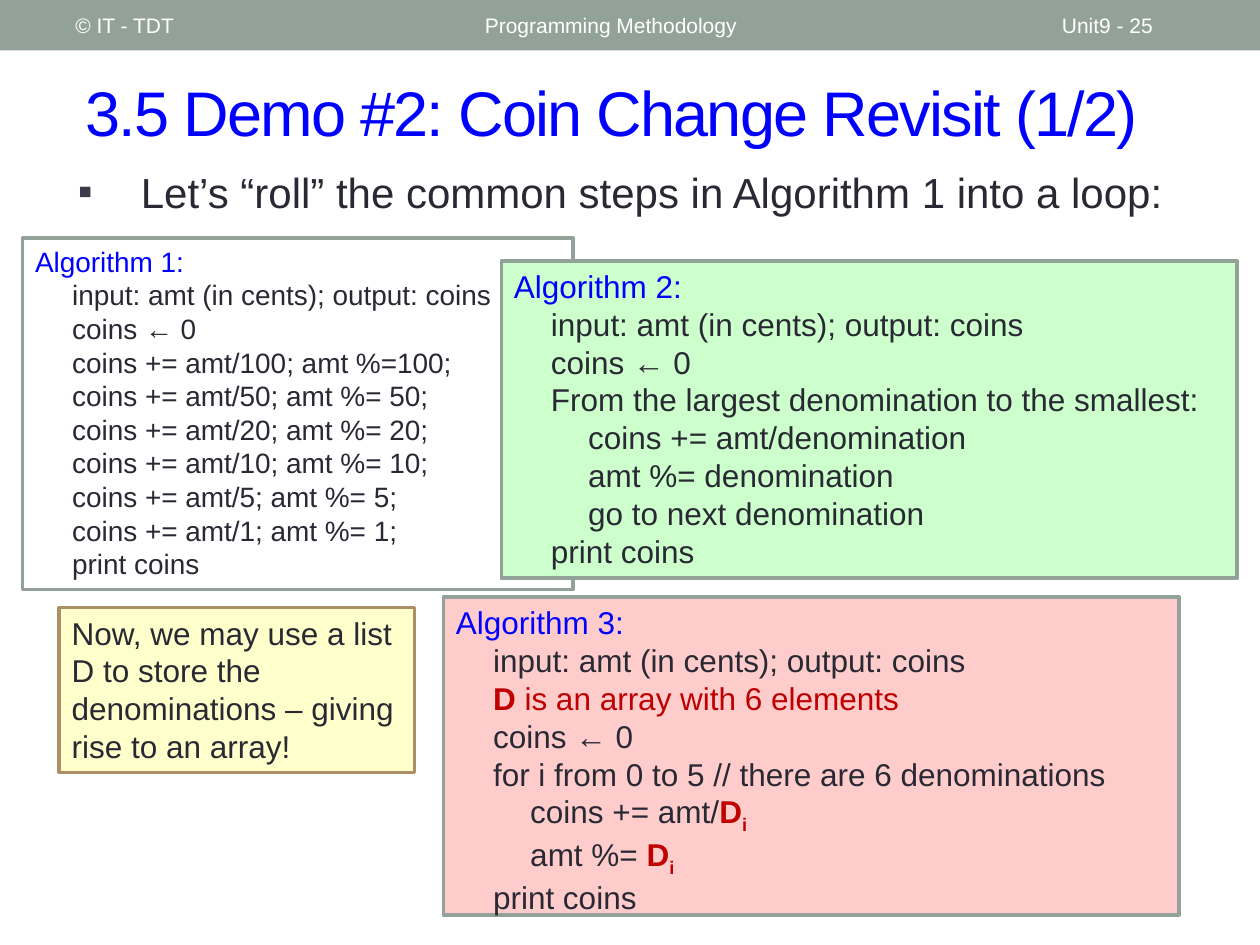
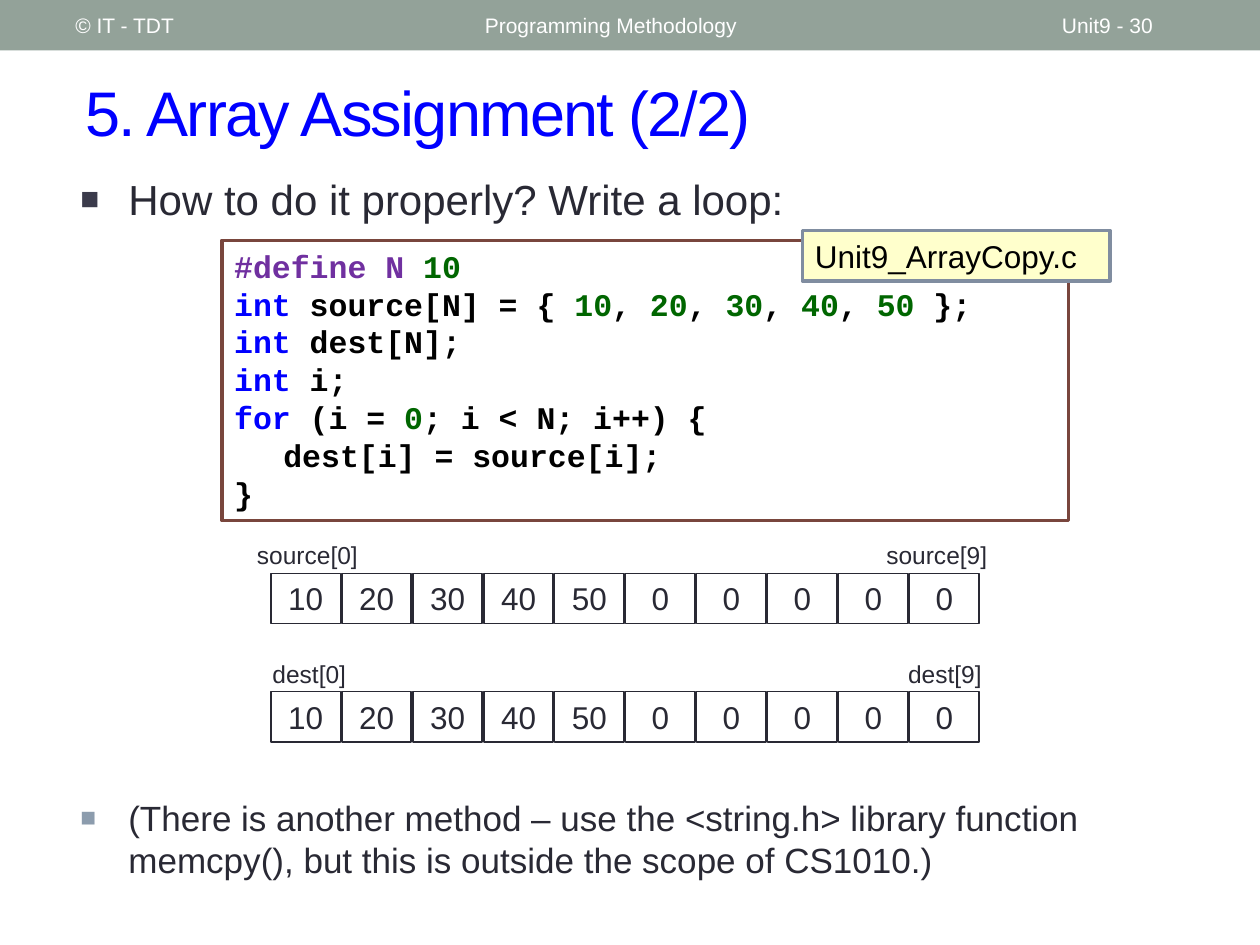
from dataclasses import dataclass

from lxml.etree import SubElement
from pptx import Presentation
from pptx.dml.color import RGBColor
from pptx.enum.shapes import MSO_SHAPE
from pptx.enum.text import MSO_ANCHOR, PP_ALIGN
from pptx.oxml.ns import qn
from pptx.util import Inches, Pt


@dataclass(frozen=True)
class Theme:
    sans: str = "Arial"
    mono: str = "Courier New"
    # Colours
    band: str = "93A299"
    white: str = "FFFFFF"
    text: str = "292934"
    black: str = "000000"
    blue: str = "0000FF"
    red: str = "C00000"
    purple: str = "7030A0"
    green: str = "006600"
    bullet: str = "3B3B4B"
    soft_bullet: str = "8C9CAD"
    mint: str = "CCFFCC"
    pink: str = "FFCCCC"
    cream: str = "FFFFCC"
    tan: str = "AD8F67"
    brown: str = "79463D"
    slate: str = "808DA0"
    # Type sizes and line widths, in points
    title: int = 36
    lead: int = 24
    remark: int = 20
    body: int = 18
    small: int = 16
    label: int = 14
    footer: int = 12
    frame: float = 2.08
    hairline: float = 0.75


THEME = Theme()

# Named span styles: colour, bold, subscript
SPAN_STYLES = {
    "red": (THEME.red, False, False),
    "array": (THEME.red, True, False),
    "index": (THEME.red, True, True),
    "macro": (THEME.purple, True, False),
    "number": (THEME.green, True, False),
    "keyword": (THEME.blue, True, False),
}


def rgb(value):
    return RGBColor.from_string(value)


def write_line(para, spans, size, color, font=THEME.sans, bold=False, indent=0.0):
    """Fill a paragraph; each span is plain text or a (text, style name) pair."""
    para.font.name, para.font.size, para.font.bold = font, Pt(size), bold
    para.font.color.rgb = rgb(color)
    if indent:
        para._p.get_or_add_pPr().set("marL", str(Inches(indent)))
    for part in [spans] if isinstance(spans, str) else spans:
        words, style = (part, None) if isinstance(part, str) else part
        span = para.add_run()
        span.text = words
        if style:
            span_color, span_bold, subscript = SPAN_STYLES[style]
            span.font.color.rgb = rgb(span_color)
            span.font.bold = span_bold
            if subscript:
                span.font._element.set("baseline", "-25000")


def add_text(page, box, words, size, color, anchor=MSO_ANCHOR.TOP,
             align=PP_ALIGN.LEFT, wrap=True):
    frame = page.shapes.add_textbox(*map(Inches, box)).text_frame
    frame.word_wrap, frame.vertical_anchor = wrap, anchor
    para = frame.paragraphs[0]
    para.alignment = align
    write_line(para, words, size, color)
    return para


def add_panel(page, box, fill, line=None, width=THEME.frame):
    panel = page.shapes.add_shape(MSO_SHAPE.RECTANGLE, *map(Inches, box))
    panel.shadow.inherit = False
    panel.fill.solid()
    panel.fill.fore_color.rgb = rgb(fill)
    if line:
        panel.line.color.rgb = rgb(line)
        panel.line.width = Pt(width)
    else:
        panel.line.fill.background()
    panel.text_frame.word_wrap = True
    panel.text_frame.vertical_anchor = MSO_ANCHOR.TOP
    return panel


def fill_panel(panel, lines, size, color=THEME.text, step=0.0,
               align=PP_ALIGN.LEFT, **style):
    """Write (level, spans) lines, each level indented by one step."""
    frame = panel.text_frame
    for number, (level, spans) in enumerate(lines):
        para = frame.add_paragraph() if number else frame.paragraphs[0]
        para.alignment = align
        write_line(para, spans, size, color, indent=level * step, **style)


def add_bullet(page, box, words, size, symbol, color, hang, before, scale=100):
    para = add_text(page, box, words, size, THEME.text)
    para.space_before = Pt(before)
    props = para._p.get_or_add_pPr()
    props.set("marL", str(Inches(hang)))
    props.set("indent", str(-Inches(hang)))
    bullet_parts = [
        SubElement(props, qn("a:buClr")),
        SubElement(props, qn("a:buSzPct"), val=str(scale * 1000)),
        SubElement(props, qn("a:buFont"), typeface=THEME.sans),
        SubElement(props, qn("a:buChar"), char=symbol),
    ]
    SubElement(bullet_parts[0], qn("a:srgbClr"), val=color)
    # The paragraph defaults must come after the bullet
    props.append(props.find(qn("a:defRPr")))


def add_base_page(deck, title, number):
    """Blank page with the header band, its three texts and the title."""
    page = deck.slides.add_slide(deck.slide_layouts[6])
    add_panel(page, (0, 0, 10, 0.4), THEME.band)
    for left, width, words in ((0.5, 3.17, "© IT - TDT"),
                               (3.75, 4.5, "Programming Methodology"),
                               (8.33, 1.17, f"Unit9 - {number}")):
        add_text(page, (left, 0.02, width, 0.36), words, THEME.footer,
                 THEME.white, MSO_ANCHOR.MIDDLE)
    heading = add_text(page, (0.58, 0.42, 9.17, 0.92), title, THEME.title,
                       THEME.blue, MSO_ANCHOR.MIDDLE)
    heading.runs[0].font._element.set("spc", "-100")
    return page


def add_algorithm(page, box, number, steps, fill, size=THEME.body):
    panel = add_panel(page, box, fill, THEME.band)
    heading = (0, [f"Algorithm {number}:"])
    opening = (1, "input: amt (in cents); output: coins")
    closing = (1, "print coins")
    fill_panel(panel, [heading, opening, *steps, closing], size, step=0.295)
    panel.text_frame.paragraphs[0].font.color.rgb = rgb(THEME.blue)


def add_array(page, box, values, labels):
    """Row of equal cells; labels are (text, left, width) above the row."""
    left, top, width, height = box
    cell, pitch = 0.55, (width - 0.55) / (len(values) - 1)
    for words, offset, label_width in labels:
        add_text(page, (left + offset, top - 0.31, label_width, 0.34), words,
                 THEME.label, THEME.text, align=PP_ALIGN.CENTER, wrap=False)
    for column, value in enumerate(values):
        panel = add_panel(page, (left + column * pitch, top, cell, height),
                          THEME.white, THEME.text, THEME.hairline)
        fill_panel(panel, [(0, str(value))], THEME.body, align=PP_ALIGN.CENTER)


def add_code(page, box, file_name):
    left, top, width, _ = box
    listing = add_panel(page, box, THEME.white, THEME.brown)
    initial = [("10", "number")]
    for value in ("20", "30", "40", "50"):
        initial += [", ", (value, "number")]
    fill_panel(listing, [
        (0, [("#define N ", "macro"), ("10", "number")]),
        (0, [("int ", "keyword"), "source[N] = { ", *initial, " };"]),
        (0, [("int ", "keyword"), "dest[N];"]),
        (0, [("int ", "keyword"), "i;"]),
        (0, [("for", "keyword"), " (i = ", ("0", "number"), "; i < N; i++) {"]),
        (1, "dest[i] = source[i];"),
        (0, "}"),
    ], THEME.body, THEME.black, step=0.39, font=THEME.mono, bold=True)
    # File name tag over the top right corner
    tag = add_panel(page, (left + width - 2.11, top - 0.08, 2.44, 0.4),
                    THEME.cream, THEME.slate)
    fill_panel(tag, [(0, file_name)], THEME.body, THEME.black)


def build_coin_change(deck):
    page = add_base_page(deck, "3.5 Demo #2: Coin Change Revisit (1/2)", 25)
    add_bullet(page, (0.52, 1.27, 9.14, 0.57),
               "Let’s “roll” the common steps in Algorithm 1 into a loop:",
               THEME.lead, "▪", THEME.bullet, hang=0.5, before=6)
    start = (1, "coins ← 0")

    # Unrolled steps
    unrolled = [(1, f"coins += amt/{coin}; amt %= {coin};")
                for coin in (50, 20, 10, 5, 1)]
    add_algorithm(page, (0.18, 1.89, 4.37, 2.79), 1,
                  [start, (1, "coins += amt/100; amt %=100;"), *unrolled],
                  THEME.white, THEME.small)

    # Loop over denominations
    add_algorithm(page, (3.98, 2.07, 5.84, 2.52), 2, [
        start,
        (1, "From the largest denomination to the smallest:"),
        (2, "coins += amt/denomination"),
        (2, "amt %= denomination"),
        (2, "go to next denomination"),
    ], THEME.mint)

    # Remark that leads to the array
    remark = add_panel(page, (0.47, 4.82, 2.82, 1.31), THEME.cream, THEME.tan)
    fill_panel(remark, [(0, "Now, we may use a list D to store the "
                            "denominations – giving rise to an array!")], THEME.body)

    # Loop over the array
    element = [("D", "array"), ("i", "index")]
    add_algorithm(page, (3.52, 4.74, 5.84, 2.52), 3, [
        (1, [("D", "array"), (" is an array with 6 elements", "red")]),
        start,
        (1, "for i from 0 to 5 // there are 6 denominations"),
        (2, ["coins += amt/", *element]),
        (2, ["amt %= ", *element]),
    ], THEME.pink)


def build_array_assignment(deck):
    page = add_base_page(deck, "5. Array Assignment (2/2)", 30)
    square = dict(symbol="■", hang=0.38, before=12, scale=75)
    add_bullet(page, (0.54, 1.33, 8.89, 0.84),
               "How to do it properly? Write a loop:",
               THEME.lead, color=THEME.bullet, **square)
    add_bullet(page, (0.54, 6.27, 8.89, 0.9),
               "(There is another method – use the <string.h> library function "
               "memcpy(), but this is outside the scope of CS1010.)",
               THEME.remark, color=THEME.soft_bullet, **square)

    # Both arrays hold the same values after the loop
    values = [10, 20, 30, 40, 50] + [0] * 5
    add_array(page, (2.15, 4.55, 5.62, 0.4), values,
              [("source[0]", -0.23, 1.04), ("source[9]", 4.75, 1.07)])
    add_array(page, (2.15, 5.49, 5.62, 0.4), values,
              [("dest[0]", -0.09, 0.79), ("dest[9]", 4.95, 0.8)])
    add_code(page, (1.76, 1.91, 6.72, 2.22), "Unit9_ArrayCopy.c")


def main():
    deck = Presentation()
    deck.slide_width, deck.slide_height = Inches(10), Inches(7.5)
    build_coin_change(deck)
    build_array_assignment(deck)
    deck.save("out.pptx")


if __name__ == "__main__":
    main()
